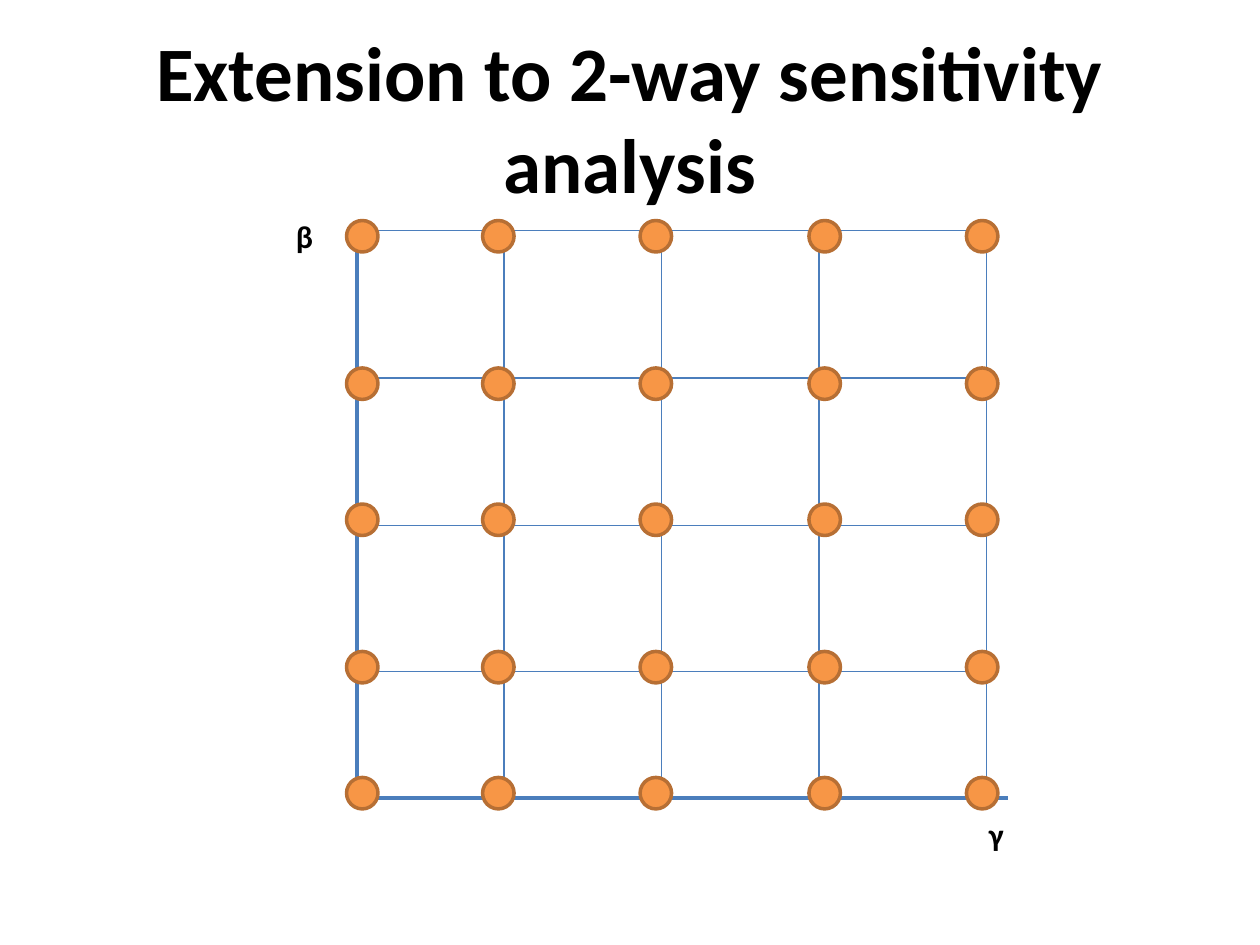
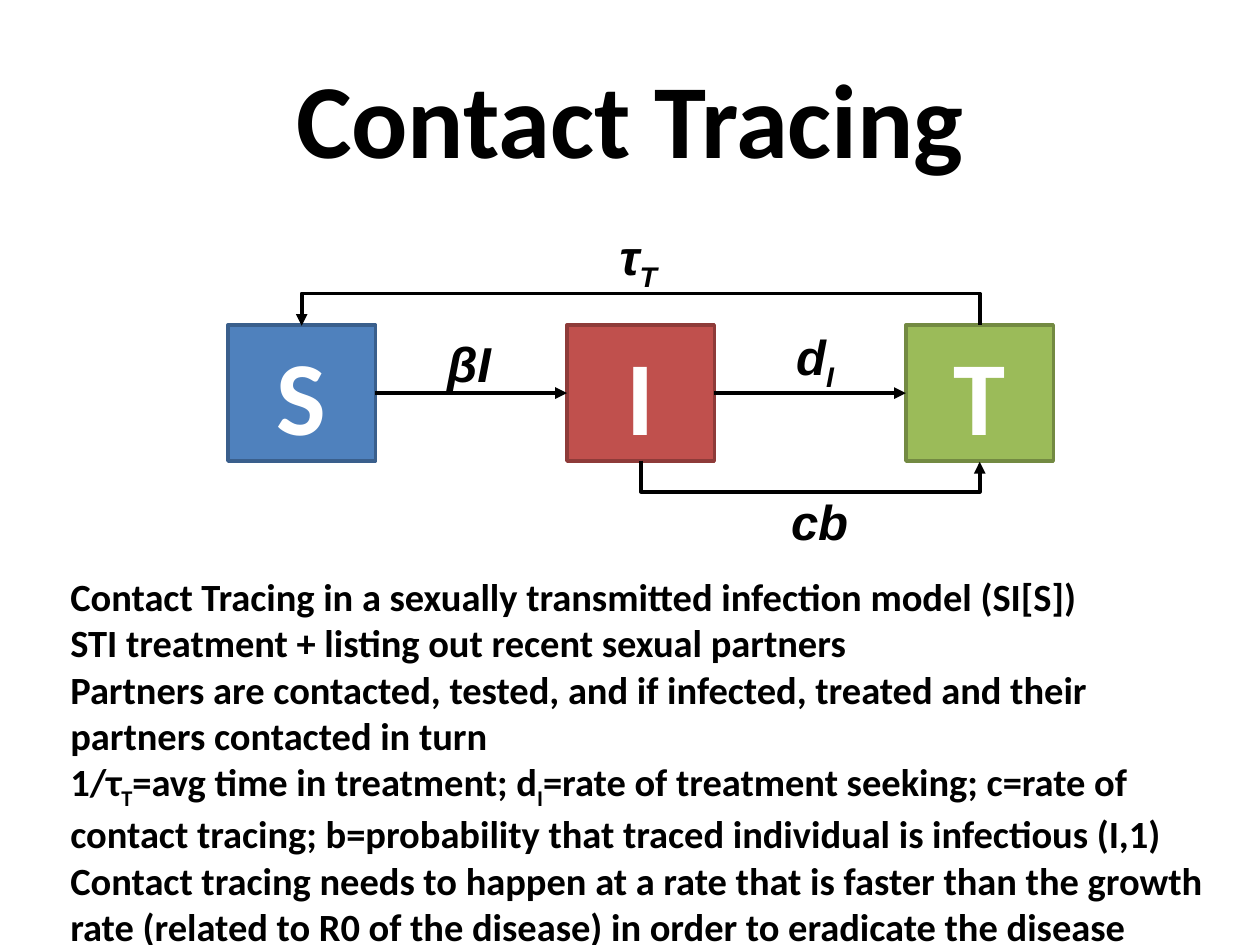
from lxml import etree
from pptx import Presentation
from pptx.dml.color import RGBColor
from pptx.enum.shapes import MSO_CONNECTOR, MSO_SHAPE
from pptx.enum.text import MSO_ANCHOR, MSO_AUTO_SIZE, PP_ALIGN
from pptx.oxml.ns import qn
from pptx.util import Inches, Pt

STRAIGHT, ELBOW = MSO_CONNECTOR.STRAIGHT, MSO_CONNECTOR.ELBOW
CENTER, MIDDLE = PP_ALIGN.CENTER, MSO_ANCHOR.MIDDLE
NO_AUTOFIT = MSO_AUTO_SIZE.NONE

BLACK = RGBColor(0x00, 0x00, 0x00)
WHITE = RGBColor(0xFF, 0xFF, 0xFF)
GRID_BLUE = RGBColor(0x4B, 0x7E, 0xBC)
ORANGE = RGBColor(0xF7, 0x96, 0x46)
DARK_ORANGE = RGBColor(0xB7, 0x6F, 0x34)
BLUE = RGBColor(0x4F, 0x81, 0xBD)
DARK_BLUE = RGBColor(0x3A, 0x5F, 0x8C)
RED = RGBColor(0xC0, 0x50, 0x4D)
DARK_RED = RGBColor(0x8E, 0x3B, 0x39)
GREEN = RGBColor(0x9B, 0xBB, 0x59)
DARK_GREEN = RGBColor(0x73, 0x8A, 0x42)


def write(frame, lines, size, font="Calibri", color=BLACK, italic=False, align=None):
    """Write one bold paragraph per line; text between bars is subscript."""
    for number, line in enumerate(lines):
        paragraph = frame.add_paragraph() if number else frame.paragraphs[0]
        for part, text in enumerate(line.split("|")):
            if text:
                run = paragraph.add_run()
                run.text = text
                if part % 2:
                    run.font._element.set("baseline", "-25000")
        paragraph.alignment = align
        paragraph.font.name = font
        paragraph.font.size = Pt(size)
        paragraph.font.bold = True
        paragraph.font.italic = italic
        paragraph.font.color.rgb = color


def draw_line(slide, kind, start, end, color, width, arrow=False):
    connector = slide.shapes.add_connector(kind, *map(Inches, start + end))
    connector.line.color.rgb = color
    connector.line.width = Pt(width)
    if arrow:
        etree.SubElement(connector.line._get_or_add_ln(), qn("a:tailEnd"), type="triangle")
    etree.SubElement(connector._element.spPr, qn("a:effectLst"))
    return connector


prs = Presentation()
prs.slide_width, prs.slide_height = Inches(10), Inches(7.5)
title_only = prs.slide_layouts[5]

slides = []
for heading, size in (("Extension to 2-way sensitivity analysis", 44), ("Contact Tracing", 60)):
    slide = prs.slides.add_slide(title_only)
    title = slide.shapes.title
    title.left, title.top, title.width, title.height = map(Inches, (0.5, 0.3, 9, 1.25))
    title.text_frame.auto_size = NO_AUTOFIT
    title.text_frame.vertical_anchor = MIDDLE
    write(title.text_frame, [heading], size, align=CENTER)
    slides.append(slide)
sensitivity, tracing = slides

# Parameter grid: two heavy axes, thin grid lines, a dot near each crossing
LEFT, RIGHT, TOP, BOTTOM = 2.83, 7.83, 1.83, 6.33
draw_line(sensitivity, STRAIGHT, (LEFT, TOP), (LEFT, BOTTOM), GRID_BLUE, 2.25)
draw_line(sensitivity, STRAIGHT, (LEFT, BOTTOM), (8, BOTTOM), GRID_BLUE, 2.25)
for x in (4, 5.25, 6.5, RIGHT):
    draw_line(sensitivity, STRAIGHT, (x, TOP), (x, BOTTOM), GRID_BLUE, 0.75)
for y in (TOP, 3, 4.17, 5.33):
    draw_line(sensitivity, STRAIGHT, (LEFT, y), (RIGHT, y), GRID_BLUE, 0.75)

DOT = Inches(0.25)
for y in (1.75, 2.92, 4, 5.17, 6.17):
    for x in (2.75, 3.83, 5.08, 6.42, 7.67):
        dot = sensitivity.shapes.add_shape(MSO_SHAPE.OVAL, Inches(x), Inches(y), DOT, DOT)
        dot.shadow.inherit = False
        dot.fill.solid()
        dot.fill.fore_color.rgb = ORANGE
        dot.line.color.rgb = DARK_ORANGE
        dot.line.width = Pt(2)

# Compartments of the model
STATE_LEFT, STATE_STEP, STATE_TOP = 1.81, 2.69, 2.58
STATE_WIDTH, STATE_HEIGHT = 1.17, 1.08
states = []
for number, (letter, fill, edge) in enumerate(
    (("S", BLUE, DARK_BLUE), ("I", RED, DARK_RED), ("T", GREEN, DARK_GREEN))
):
    state = tracing.shapes.add_shape(
        MSO_SHAPE.RECTANGLE,
        Inches(STATE_LEFT + number * STATE_STEP), Inches(STATE_TOP),
        Inches(STATE_WIDTH), Inches(STATE_HEIGHT),
    )
    state.shadow.inherit = False
    state.fill.solid()
    state.fill.fore_color.rgb = fill
    state.line.color.rgb = edge
    state.line.width = Pt(2)
    state.text_frame.vertical_anchor = MIDDLE
    write(state.text_frame, [letter], 60, color=WHITE, align=CENTER)
    states.append(state)

for source, target in zip(states, states[1:]):
    flow = draw_line(tracing, STRAIGHT, (0, 0), (1, 1), BLACK, 2.25, arrow=True)
    flow.begin_connect(source, 3)
    flow.end_connect(target, 1)

# Elbow flows: upright connectors turned by 270 degrees, bending 0.25 inch outside
S_X, I_X, T_X = (STATE_LEFT + STATE_WIDTH / 2 + n * STATE_STEP for n in range(3))
THIN, REACH = 0.01, 0.25
for from_x, to_x, y, side in ((T_X, S_X, STATE_TOP, -1), (I_X, T_X, STATE_TOP + STATE_HEIGHT, 1)):
    mid_x, half_span = (from_x + to_x) / 2, (to_x - from_x) / 2
    flow = draw_line(
        tracing, ELBOW,
        (mid_x + THIN / 2, y - half_span), (mid_x - THIN / 2, y + half_span),
        BLACK, 2.25, arrow=True,
    )
    properties = flow._element.spPr
    properties.find(qn("a:xfrm")).set("rot", str(270 * 60000))
    guides = properties.find(qn("a:prstGeom")).get_or_add_avLst()
    bend = round(side * REACH / THIN * 100000)
    etree.SubElement(guides, qn("a:gd"), name="adj1", fmla=f"val {bend}")

# Labels of the axes and of the flows
for slide, text, box, style in (
    (sensitivity, "β", (2.25, 1.67, 0.34, 0.4), {"size": 18}),
    (sensitivity, "γ", (7.75, 6.42, 0.32, 0.4), {"size": 18}),
    (tracing, "βI", (3.45, 2.6, 0.55, 0.57), {"size": 28, "font": "Arial", "italic": True}),
    (tracing, "d|I|", (6.22, 2.54, 0.51, 0.57), {"size": 28, "font": "Arial", "italic": True}),
    (tracing, "τ|T|", (4.82, 1.75, 0.52, 0.57), {"size": 28, "font": "Arial", "italic": True}),
    (tracing, "cb", (6.18, 3.85, 0.66, 0.57), {"size": 28, "font": "Arial", "italic": True}),
):
    label = slide.shapes.add_textbox(*map(Inches, box))
    label.text_frame.word_wrap = False
    write(label.text_frame, [text], **style)

explanation = tracing.shapes.add_textbox(Inches(0.46), Inches(4.5), Inches(9.25), Inches(3.06))
explanation.text_frame.word_wrap = True
write(explanation.text_frame, [
    "Contact Tracing in a sexually transmitted infection model (SI[S])",
    "STI treatment + listing out recent sexual partners",
    "Partners are contacted, tested, and if infected, treated and their partners contacted in turn",
    "1/τ|T|=avg time in treatment; d|I|=rate of treatment seeking; c=rate of contact tracing; "
    "b=probability that traced individual is infectious (I,1)",
    "Contact tracing needs to happen at a rate that is faster than the growth rate "
    "(related to R0 of the disease) in order to eradicate the disease",
], 22)

prs.save("out.pptx")
